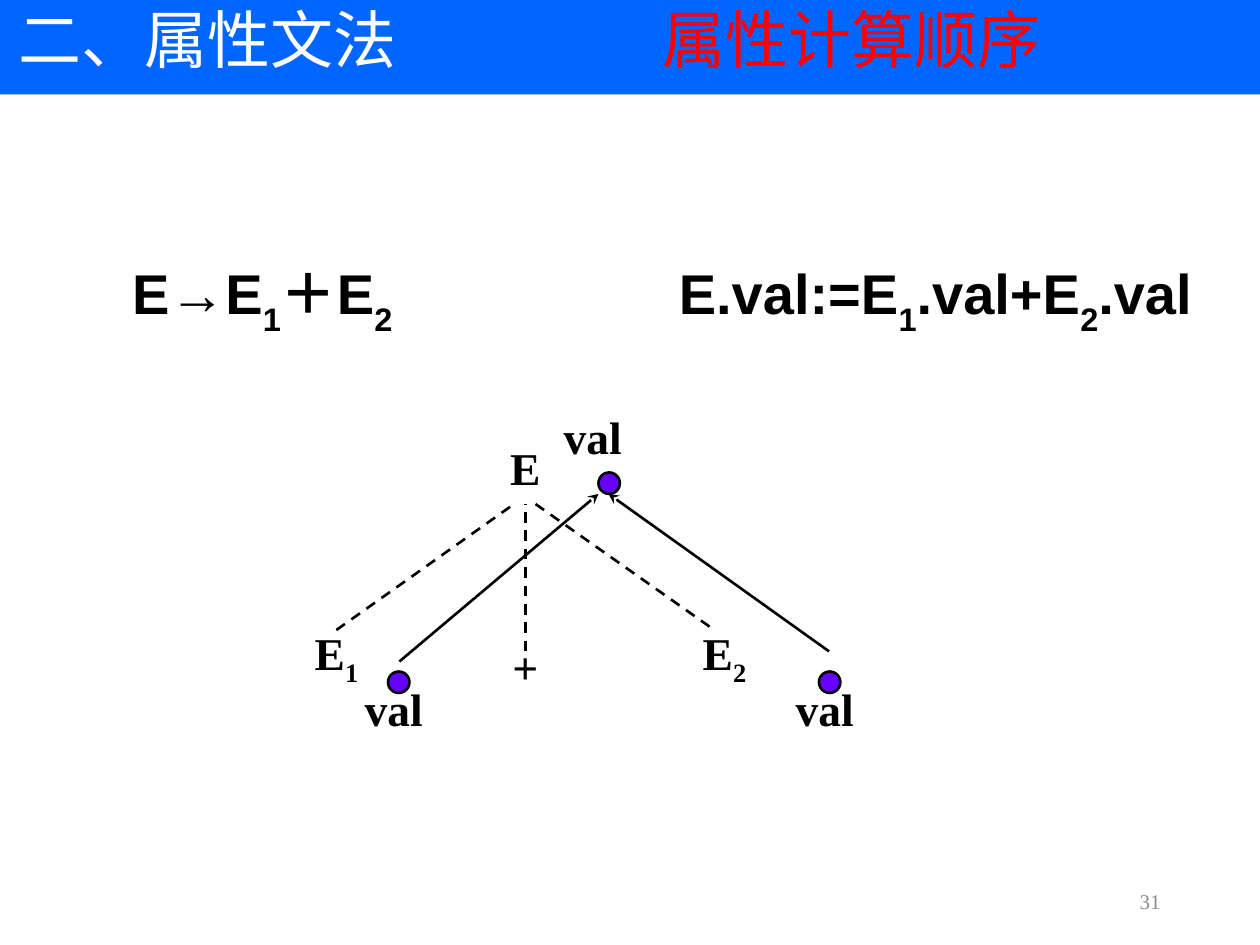
from dataclasses import dataclass

from lxml import etree
from pptx import Presentation
from pptx.dml.color import RGBColor
from pptx.enum.dml import MSO_LINE
from pptx.enum.shapes import MSO_CONNECTOR, MSO_SHAPE
from pptx.enum.text import MSO_ANCHOR, PP_ALIGN
from pptx.oxml.ns import qn
from pptx.util import Inches, Pt

RECTANGLE, OVAL = MSO_SHAPE.RECTANGLE, MSO_SHAPE.OVAL
STRAIGHT, DASH = MSO_CONNECTOR.STRAIGHT, MSO_LINE.DASH
TOP, MIDDLE = MSO_ANCHOR.TOP, MSO_ANCHOR.MIDDLE
LEFT, CENTER, RIGHT = PP_ALIGN.LEFT, PP_ALIGN.CENTER, PP_ALIGN.RIGHT


@dataclass(frozen=True)
class Theme:
    banner: str = "0066FF"
    heading: str = "FFFFFF"
    topic: str = "FF0000"
    ink: str = "000000"
    attribute: str = "6600FF"
    muted: str = "8C8C8C"
    serif: str = "Times New Roman"
    sans: str = "Arial"
    title_size: int = 36
    rule_size: int = 32
    node_size: int = 26
    number_size: int = 12
    stroke: float = 1.5


THEME = Theme()


def rgb(color):
    return RGBColor.from_string(color)


def add_text(slide, box, anchor=MIDDLE, align=LEFT, wrap=True, spacing=1.0, tab=None):
    frame = slide.shapes.add_textbox(*map(Inches, box)).text_frame
    frame.word_wrap = wrap
    frame.vertical_anchor = anchor
    paragraph = frame.paragraphs[0]
    paragraph.alignment = align
    paragraph.line_spacing = spacing
    if tab:
        stops = etree.SubElement(paragraph._p.get_or_add_pPr(), qn("a:tabLst"))
        etree.SubElement(stops, qn("a:tab"), pos=str(Inches(tab)), algn="l")
    return paragraph


def add_run(paragraph, text, size, color=THEME.ink, font=THEME.serif, bold=False, baseline=0):
    run = paragraph.add_run()
    run.text = text
    run.font.size = Pt(size)
    run.font.name = font
    run.font.bold = bold
    run.font.color.rgb = rgb(color)
    if baseline:
        run._r.get_or_add_rPr().set("baseline", str(baseline * 1000))


def add_filled(slide, preset, box, fill, outline=None):
    shape = slide.shapes.add_shape(preset, *map(Inches, box))
    shape.shadow.inherit = False
    shape.fill.solid()
    shape.fill.fore_color.rgb = rgb(fill)
    if outline:
        shape.line.color.rgb = rgb(outline)
        shape.line.width = Pt(THEME.stroke)
    else:
        shape.line.fill.background()


def add_edge(slide, start, end, dashed=False, arrow=False):
    edge = slide.shapes.add_connector(STRAIGHT, *map(Inches, (*start, *end)))
    edge.line.color.rgb = rgb(THEME.ink)
    edge.line.width = Pt(THEME.stroke)
    if dashed:
        edge.line.dash_style = DASH
    if arrow:
        etree.SubElement(edge.line._get_or_add_ln(), qn("a:tailEnd"), type="stealth")
    etree.SubElement(edge._element.spPr, qn("a:effectLst"))


def add_node(slide, box, symbol, subscript=None):
    label = add_text(slide, box, align=CENTER, wrap=False)
    add_run(label, symbol, THEME.node_size, bold=True)
    if subscript:
        add_run(label, subscript, THEME.node_size, bold=True, baseline=-25)


def add_header(slide):
    add_filled(slide, RECTANGLE, (0, -0.07, 10, 0.82), THEME.banner)
    title = add_text(slide, (0.05, 0.08, 8.62, 0.52), spacing=0.9, tab=5.11)
    add_run(title, "二、属性文法\t", THEME.title_size, THEME.heading)
    add_run(title, "属性计算顺序", THEME.title_size, THEME.topic)


def add_rule(slide):
    rule = add_text(slide, (0.95, 2, 8.8, 0.58), anchor=TOP, spacing=0.9, tab=4.34)
    pieces = ("E→E", "1", "＋E", "2", "\tE.val:=E", "1", ".val+E", "2", ".val")
    for index, piece in enumerate(pieces):
        add_run(rule, piece, THEME.rule_size, font=THEME.sans, bold=True,
                baseline=-30 if index % 2 else 0)


def add_tree(slide):
    add_node(slide, (1.42, 4.92, 2.5, 0.58), "E", "1")
    add_node(slide, (3.67, 5, 1, 0.58), "+")
    add_node(slide, (4.5, 4.92, 2.5, 0.58), "E", "2")
    for start, end in (
        ((2.67, 5), (4.08, 4)),
        ((4.17, 5.17), (4.17, 4)),
        ((4.25, 4), (5.67, 5)),
    ):
        add_edge(slide, start, end, dashed=True)
    add_node(slide, (3.17, 3.42, 2, 0.58), "E")


def add_dependencies(slide):
    for left, top in ((4.33, 3.17), (2.75, 5.33), (6.17, 5.33)):
        add_node(slide, (left, top, 0.75, 0.58), "val")
    add_edge(slide, (3.17, 5.25), (4.75, 3.92), arrow=True)
    add_edge(slide, (6.58, 5.17), (4.83, 3.92), arrow=True)
    for left, top in ((3.08, 5.33), (6.5, 5.33), (4.75, 3.75)):
        add_filled(slide, OVAL, (left, top, 0.17, 0.17), THEME.attribute, THEME.ink)


def add_page_number(slide):
    number = add_text(slide, (7.06, 6.95, 2.25, 0.4), align=RIGHT)
    add_run(number, "31", THEME.number_size, THEME.muted)


def main():
    deck = Presentation()
    deck.slide_width, deck.slide_height = Inches(10), Inches(7.5)
    slide = deck.slides.add_slide(deck.slide_layouts[6])
    add_header(slide)
    add_rule(slide)
    add_tree(slide)
    add_dependencies(slide)
    add_page_number(slide)
    deck.save("out.pptx")


if __name__ == "__main__":
    main()
